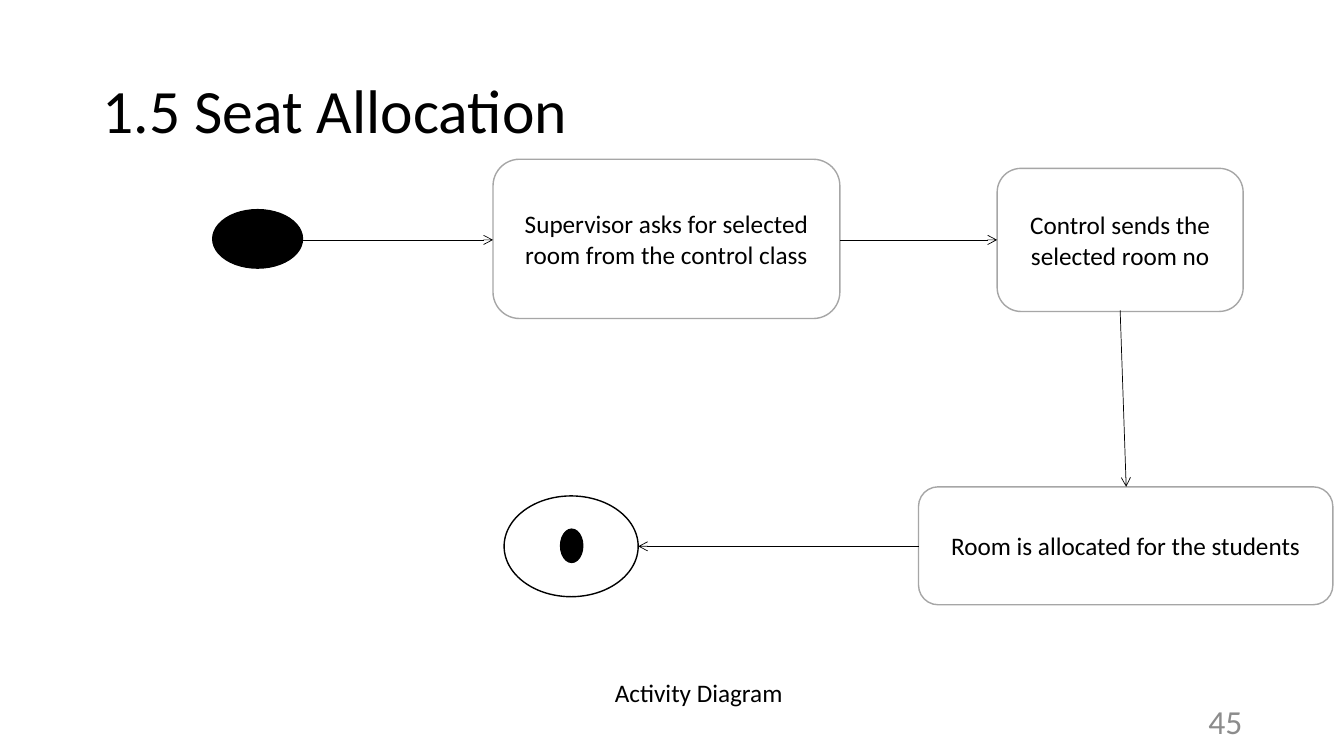
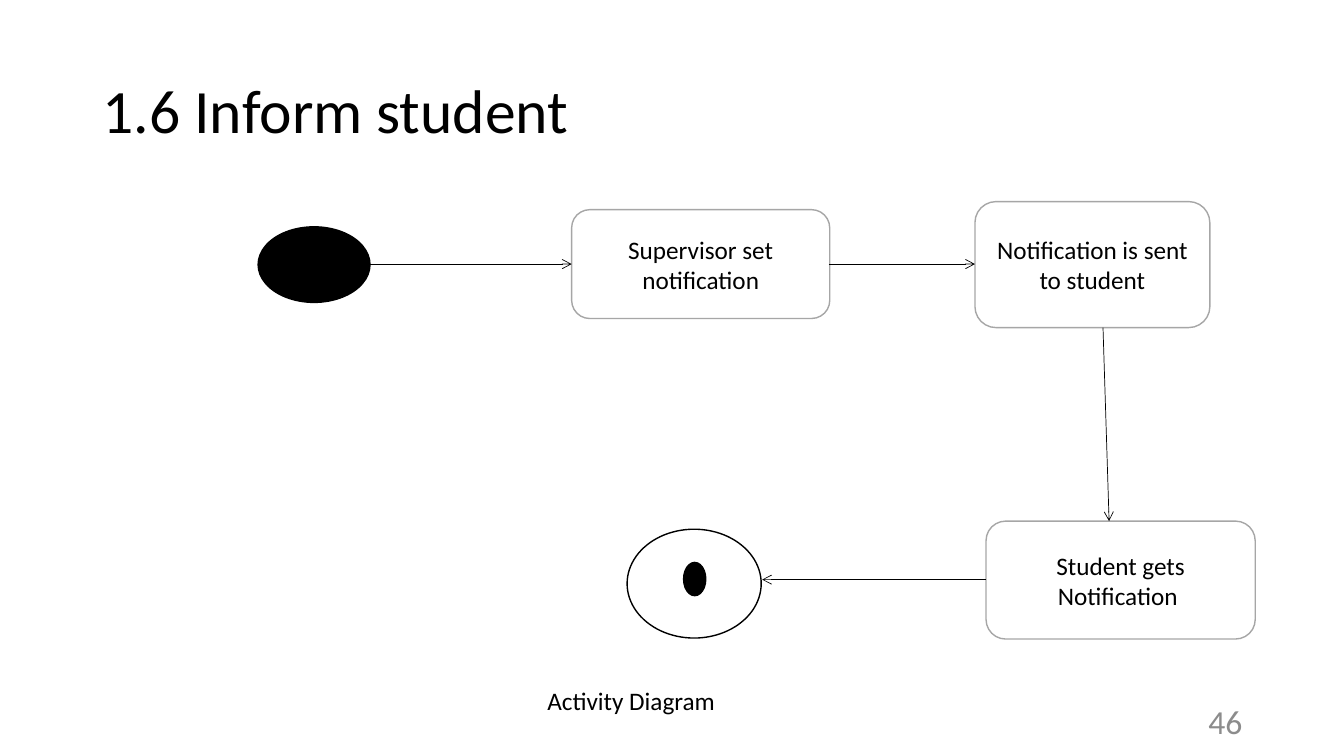
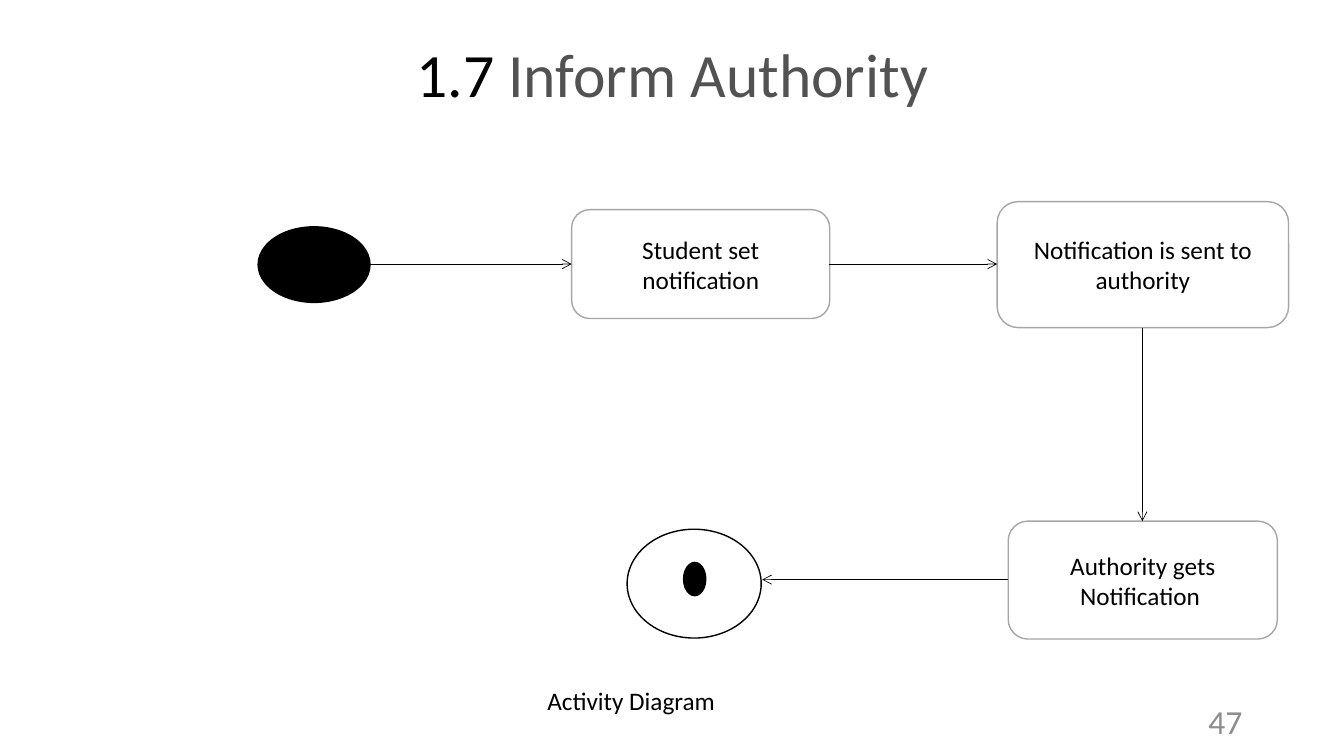
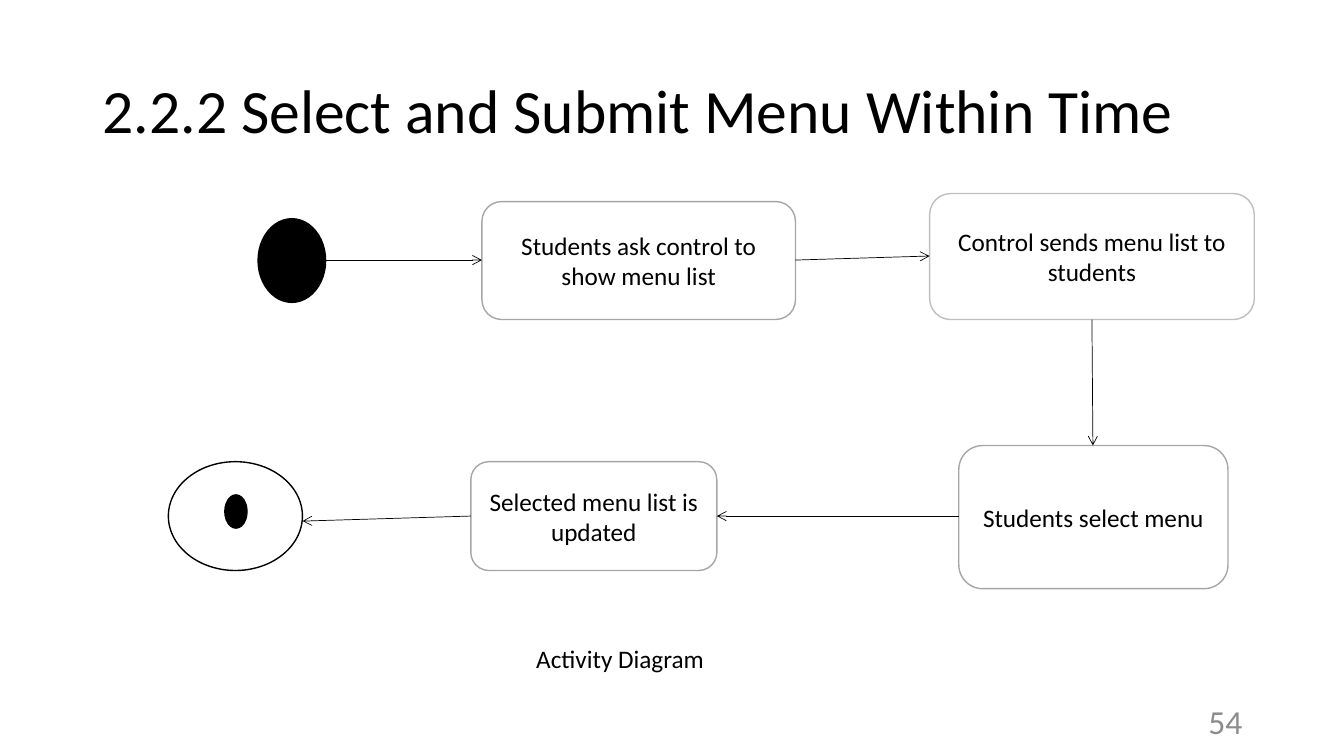
from lxml import etree
from pptx import Presentation
from pptx.dml.color import RGBColor
from pptx.enum.shapes import MSO_CONNECTOR, MSO_SHAPE
from pptx.enum.text import MSO_ANCHOR, PP_ALIGN
from pptx.oxml.ns import qn
from pptx.util import Inches, Pt

LEFT, CENTER, RIGHT = PP_ALIGN.LEFT, PP_ALIGN.CENTER, PP_ALIGN.RIGHT
MIDDLE = MSO_ANCHOR.MIDDLE
OVAL, ROUND = MSO_SHAPE.OVAL, MSO_SHAPE.ROUNDED_RECTANGLE
DOT = MSO_SHAPE.FLOWCHART_CONNECTOR
STRAIGHT = MSO_CONNECTOR.STRAIGHT

FONT = "Calibri"
BLACK, WHITE = "000000", "FFFFFF"
GRAY, PALE = "A6A6A6", "BFBFBF"
DARK, MUTED = "525252", "8C8C8C"
color = RGBColor.from_string

# boxes: left, top, width, height, text, line colour
# arrows: from x, from y, to x, to y
SLIDES = [
    {
        "title": ["1.5 Seat Allocation"],
        "page": "45",
        "start": (2.11, 2.08, 0.89, 0.58),
        "boxes": [
            (4.89, 1.58, 3.44, 1.58, "Supervisor asks for selected room from the control class", GRAY),
            (9.89, 1.67, 2.44, 1.42, "Control sends the selected room no", GRAY),
            (9.11, 4.83, 4.11, 1.17, "Room is allocated for the students", GRAY),
        ],
        "arrows": [
            (3, 2.38, 4.89, 2.38),
            (8.33, 2.38, 9.89, 2.38),
            (11.11, 3.08, 11.17, 4.83),
            (9.11, 5.42, 6.33, 5.42),
        ],
        "end": (5, 4.92, 1.33, 1),
        "caption": (6, 6.67),
    },
    {
        "title": ["1.6 Inform student"],
        "page": "46",
        "start": (2.56, 2.25, 1.11, 0.75),
        "boxes": [
            (5.67, 2.08, 2.56, 1.08, "Supervisor set notification", GRAY),
            (9.67, 2, 2.33, 1.25, "Notification is sent to student", GRAY),
            (9.78, 5.17, 2.67, 1.17, "Student gets Notification ", GRAY),
        ],
        "arrows": [
            (3.67, 2.62, 5.67, 2.62),
            (8.22, 2.62, 9.67, 2.62),
            (10.94, 3.25, 11, 5.17),
            (9.78, 5.75, 7.56, 5.75),
        ],
        "end": (6.22, 5.25, 1.33, 1.08),
        "caption": (5.33, 6.75),
    },
    {
        "title": ["1.7 ", "Inform Authority"],
        "page": "47",
        "start": (2.56, 2.25, 1.11, 0.75),
        "boxes": [
            (5.67, 2.08, 2.56, 1.08, "Student set notification", GRAY),
            (9.89, 2, 2.89, 1.25, "Notification is sent to authority", GRAY),
            (10, 5.17, 2.67, 1.17, "Authority gets Notification ", GRAY),
        ],
        "arrows": [
            (3.67, 2.62, 5.67, 2.62),
            (8.22, 2.62, 9.89, 2.62),
            (11.33, 3.25, 11.33, 5.17),
            (10, 5.75, 7.56, 5.75),
        ],
        "end": (6.22, 5.25, 1.33, 1.08),
        "caption": (5.33, 6.75),
    },
    {
        "title": ["2.2.2 Select and Submit Menu Within Time"],
        "page": "54",
        "start": (2.56, 2.17, 0.67, 0.83),
        "boxes": [
            (4.78, 2, 3.11, 1.17, "Students ask control to show menu list", GRAY),
            (9.22, 1.92, 3.22, 1.25, "Control sends menu list to students", PALE),
            (9.51, 4.42, 2.67, 1.42, "Students select menu", GRAY),
            (4.67, 4.58, 2.44, 1.08, "Selected menu list is updated", GRAY),
        ],
        "arrows": [
            (3.22, 2.58, 4.78, 2.58),
            (7.89, 2.58, 9.22, 2.54),
            (10.83, 3.17, 10.84, 4.42),
            (9.51, 5.12, 7.11, 5.12),
            (4.67, 5.12, 3, 5.17),
        ],
        "end": (1.67, 4.58, 1.33, 1.08),
        "caption": (5.22, 6.33),
    },
]


def write(shape, parts, size, align, tints=(BLACK,), wrap=True):
    """Fill the shape's one paragraph with a run for each part and tint."""
    frame = shape.text_frame
    frame.word_wrap = wrap
    line = frame.paragraphs[0]
    line.alignment = align
    for part, tint in zip(parts, tints):
        run = line.add_run()
        run.text = part
        run.font.name = FONT
        run.font.size = Pt(size)
        run.font.color.rgb = color(tint)
    return frame


def draw(slide, kind, place, fill, edge):
    shape = slide.shapes.add_shape(kind, *map(Inches, place))
    shape.shadow.inherit = False
    shape.fill.solid()
    shape.fill.fore_color.rgb = color(fill)
    shape.line.color.rgb = color(edge)
    shape.line.width = Pt(1)
    return shape


deck = Presentation()
deck.slide_width, deck.slide_height = Inches(13.33), Inches(7.5)

for item in SLIDES:
    slide = deck.slides.add_slide(deck.slide_layouts[6])
    shapes = slide.shapes

    title = shapes.add_textbox(Inches(0.92), Inches(0.4), Inches(11.5), Inches(1.45))
    split = len(item["title"]) > 1
    frame = write(title, item["title"], 44, CENTER if split else LEFT, (BLACK, DARK))
    frame.vertical_anchor = MIDDLE
    frame.paragraphs[0].line_spacing = 0.9
    if split:
        frame.margin_bottom = Inches(0.76)

    draw(slide, OVAL, item["start"], BLACK, BLACK)
    for *place, text, edge in item["boxes"]:
        box = draw(slide, ROUND, place, WHITE, edge)
        write(box, [text], 18, CENTER).vertical_anchor = MIDDLE

    for ends in item["arrows"]:
        arrow = shapes.add_connector(STRAIGHT, *map(Inches, ends))
        arrow.line.color.rgb = color(BLACK)
        arrow.line.width = Pt(0.5)
        props = arrow.line._get_or_add_ln()
        etree.SubElement(props, qn("a:tailEnd"), type="arrow")
        etree.SubElement(props.getparent(), qn("a:effectLst"))

    left, top = item["caption"]
    label = shapes.add_textbox(Inches(left), Inches(top), Inches(1.88), Inches(0.4))
    write(label, ["Activity Diagram"], 18, LEFT, wrap=False)

    page = shapes.add_textbox(Inches(9.42), Inches(6.95), Inches(3), Inches(0.4))
    write(page, [item["page"]], 24, RIGHT, (MUTED,)).vertical_anchor = MIDDLE

    draw(slide, OVAL, item["end"], WHITE, BLACK)
    left, top = item["end"][:2]
    draw(slide, DOT, (left + 0.56, top + 0.33, 0.22, 0.33), BLACK, BLACK)

deck.save("out.pptx")
